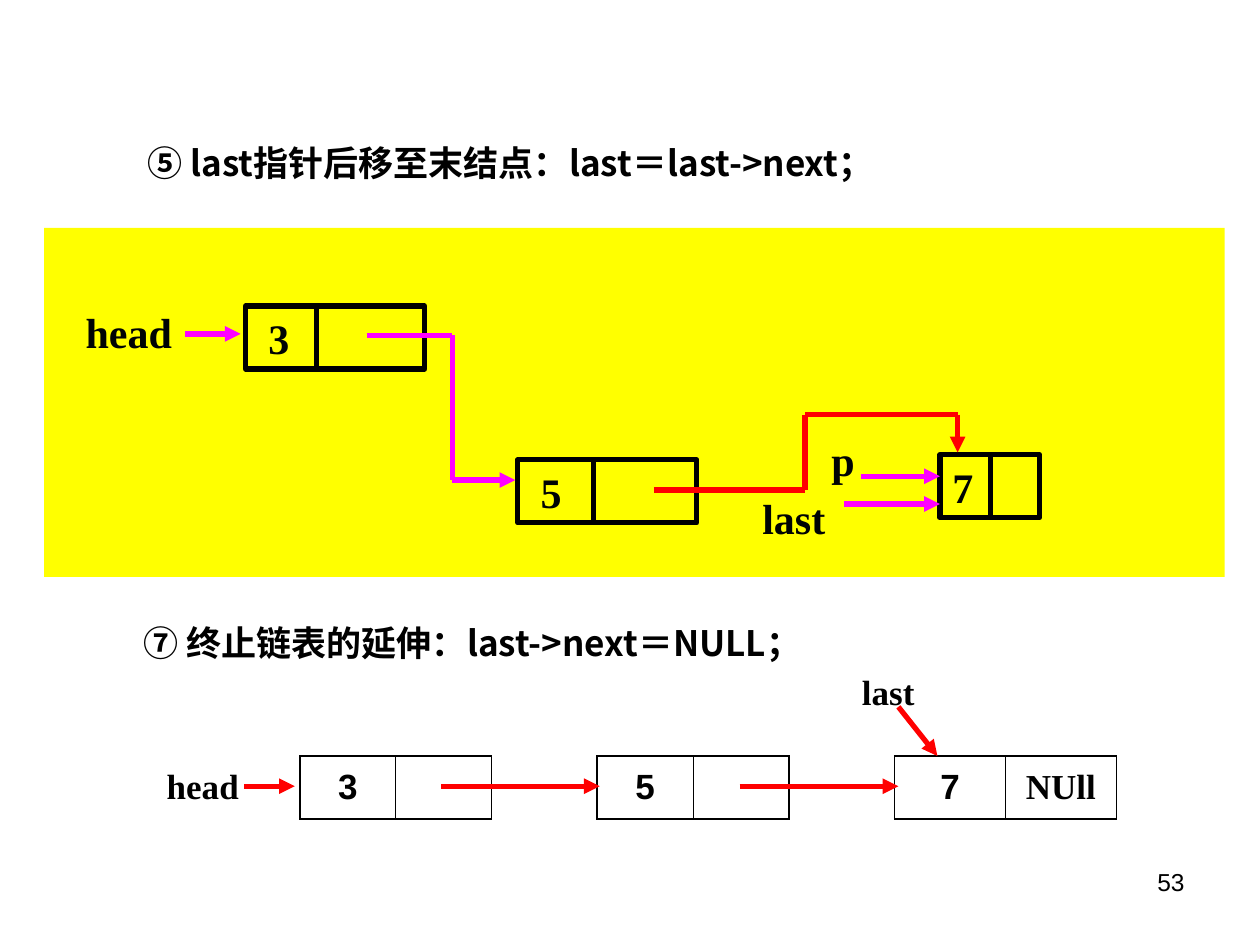
"""Build the linked list slide."""
from lxml.etree import SubElement
from pptx import Presentation
from pptx.dml.color import RGBColor
from pptx.enum.shapes import MSO_CONNECTOR as Conn, MSO_SHAPE as Form
from pptx.enum.text import MSO_ANCHOR as Anchor, MSO_AUTO_SIZE as Auto, PP_ALIGN as Align
from pptx.oxml.ns import qn
from pptx.util import Inches, Pt

HUE = {"black": "000000", "ink": "000404", "yellow": "FFFF00",
       "pink": "FF00FF", "red": "FF0000", "white": "FFFFFF"}
SANS, SERIF, CJK = "Arial", "Times New Roman", "Noto Sans CJK SC"

STEP = "⑤ last指针后移至末结点：last＝last->next；", (1.07, 0.91, 8.42, 0.6), 1.5
FINAL = "⑦ 终止链表的延伸：last->next＝NULL；", (1.04, 4.62, 6.08, 0.7), 1.8
PAGE = "53", (7.17, 6.83, 2.33, 0.52)
PANEL = (0.35, 1.81, 9.37, 2.77)

NODES = [
    ("3", 1.95, 2.43, 1.42, 2.51, 2.41, 0.18),
    ("5", 4.11, 3.65, 1.42, 4.71, 3.67, 0.18),
    ("7", 7.46, 3.61, 0.79, 7.86, 3.59, 0.1),
]
TAGS = [
    ("head", (0.5, 2.38, 0.97, 0.5), Anchor.TOP, 0.18),
    ("last", (5.91, 3.86, 0.79, 0.5), Anchor.TOP, 0.14),
    ("p", (6.5, 3.31, 0.47, 0.67), Anchor.MIDDLE, 0.1),
]
PATHS = [
    ("pink", [(1.47, 2.65), (1.91, 2.65)]),
    ("pink", [(2.91, 2.66), (3.59, 2.66), (3.59, 3.81), (4.09, 3.81)]),
    ("pink", [(6.7, 4), (7.46, 4)]),
    ("pink", [(6.83, 3.78), (7.46, 3.78)]),
    ("red", [(5.19, 3.89), (6.39, 3.89), (6.39, 3.29), (7.6, 3.29), (7.6, 3.59)]),
    ("red", [(1.94, 6.24), (2.34, 6.24)]),
    ("red", [(3.5, 6.24), (4.76, 6.24)]),
    ("red", [(5.87, 6.24), (7.13, 6.24)]),
    ("red", [(7.13, 5.61), (7.44, 6)]),
]
LIST = [("3", "", 0.76), ("5", "", 0.76), ("7", "NUll", 0.88)]
NAMES = [("head", (1.06, 6, 1.1, 0.47)), ("last", (6.5, 5.25, 1.1, 0.47))]


def rgb(hue):
    return RGBColor.from_string(HUE[hue])


def place(shape, spot):
    shape.left, shape.top, shape.width, shape.height = map(Inches, spot)


def write(frame, text, size, face, hue="black", bold=True, align=Align.LEFT):
    para = frame.paragraphs[0]
    para.text, para.alignment = text, align
    font = para.font
    font.size, font.name, font.bold = Pt(size), face, bold
    font.color.rgb = rgb(hue)
    return para


def label(slide, text, spot, size, face, anchor=Anchor.TOP, **style):
    box = slide.shapes.add_textbox(*map(Inches, spot))
    box.text_frame.word_wrap = True
    box.text_frame.vertical_anchor = anchor
    write(box.text_frame, text, size, face, **style)


def heading(shape, text, spot, space):
    place(shape, spot)
    frame = shape.text_frame
    frame.word_wrap, frame.auto_size = True, Auto.NONE
    frame.vertical_anchor = Anchor.TOP
    para = write(frame, text, 20, CJK)
    para.line_spacing = space
    SubElement(para.runs[0].font._element, qn("a:ea"), typeface=CJK)


def block(slide, spot, text="", anchor=Anchor.MIDDLE, inset=0.1, edge=False):
    shape = slide.shapes.add_shape(Form.RECTANGLE, *map(Inches, spot))
    shape.shadow.inherit = False
    shape.fill.solid()
    shape.fill.fore_color.rgb = rgb("yellow")
    if edge:
        shape.line.color.rgb, shape.line.width = rgb("black"), Pt(3)
    else:
        shape.line.fill.background()
    if text:
        frame = shape.text_frame
        frame.word_wrap, frame.vertical_anchor = False, anchor
        frame.margin_left = Inches(inset)
        write(frame, text, 24, SERIF, "ink")


def line(slide, start, end, hue, arrow=False):
    conn = slide.shapes.add_connector(Conn.STRAIGHT, *map(Inches, start + end))
    conn.line.color.rgb, conn.line.width = rgb(hue), Pt(3)
    if arrow:
        SubElement(conn.line._get_or_add_ln(), qn("a:tailEnd"), type="triangle")
    SubElement(conn._element.spPr, qn("a:effectLst"))


def border(cell, thin):
    props = cell._tc.get_or_add_tcPr()
    for side in "LRTB":
        width = Pt(0.45 if side == thin else 1.08)
        edge = SubElement(props, qn("a:ln" + side), w=str(width))
        fill = SubElement(edge, qn("a:solidFill"))
        SubElement(fill, qn("a:srgbClr"), val=HUE["black"])


def pair(slide, left, texts, width):
    spot = map(Inches, (left, 6, 2 * width, 0.5))
    table = slide.shapes.add_table(1, 2, *spot).table
    table.first_row = table.horz_banding = False
    for col, (text, face, thin) in enumerate(zip(texts, (SANS, SERIF), "RL")):
        cell = table.cell(0, col)
        border(cell, thin)
        cell.fill.background()
        cell.vertical_anchor = Anchor.MIDDLE
        write(cell.text_frame, text, 20, face, align=Align.CENTER)


def main():
    deck = Presentation()
    deck.slide_width, deck.slide_height = Inches(10), Inches(7.5)
    slide = deck.slides.add_slide(deck.slide_layouts[5])
    slide.background.fill.solid()
    slide.background.fill.fore_color.rgb = rgb("white")
    heading(slide.shapes.title, *STEP)
    heading(slide.shapes.add_textbox(0, 0, 0, 0), *FINAL)
    label(slide, *PAGE, 14, SANS, bold=False, align=Align.RIGHT)

    block(slide, PANEL)
    for text, spot, anchor, inset in TAGS:
        block(slide, spot, text, anchor, inset)
    for text, left, top, width, mid, high, inset in NODES:
        block(slide, (left, top, width, 0.5), text, inset=inset, edge=True)
        line(slide, (mid, high), (mid, high + 0.5), "black")

    for text, spot in NAMES:
        label(slide, text, spot, 20, SERIF, Anchor.MIDDLE, align=Align.CENTER)
    for num, (value, link, width) in enumerate(LIST):
        pair(slide, 2.38 + 2.36 * num, (value, link), width)
    for hue, points in PATHS:
        for start, end in zip(points, points[1:]):
            line(slide, start, end, hue, end == points[-1])
    deck.save("out.pptx")


if __name__ == "__main__":
    main()
